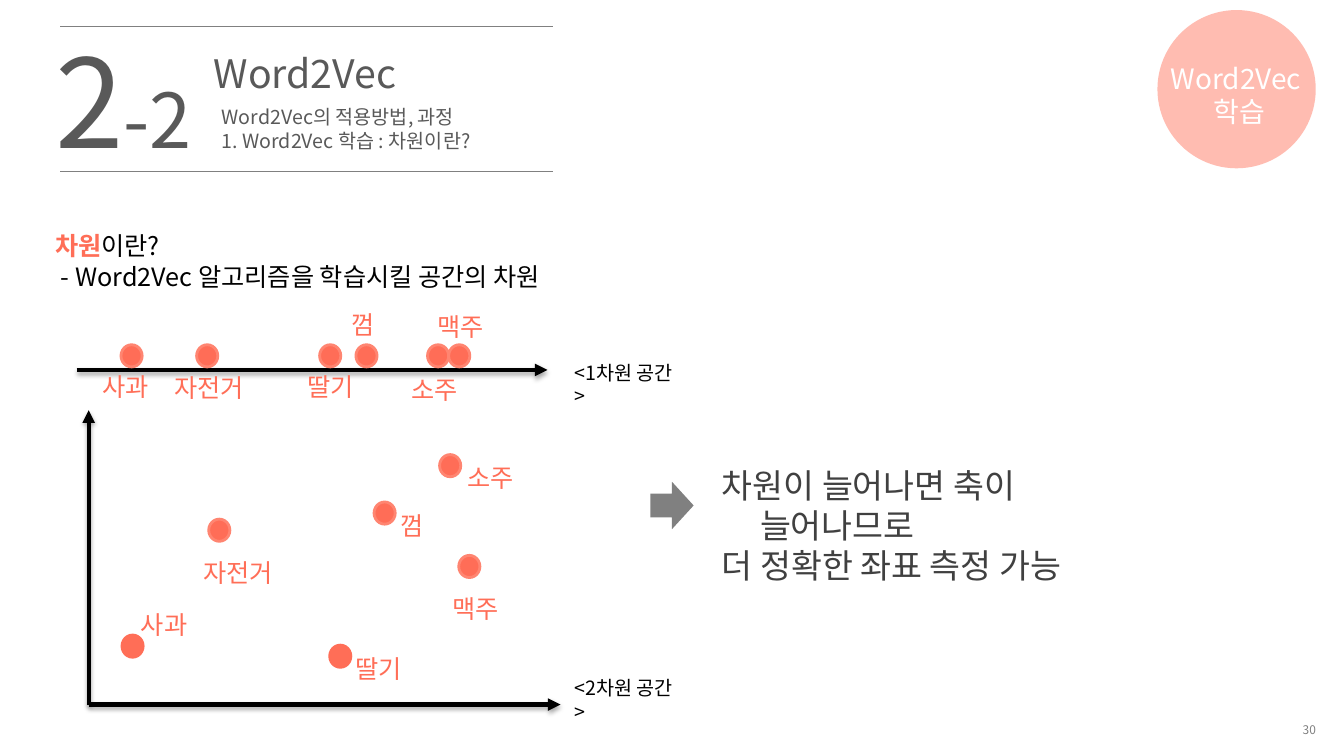
from lxml.etree import SubElement
from pptx import Presentation
from pptx.dml.color import RGBColor
from pptx.enum.shapes import MSO_CONNECTOR, MSO_SHAPE
from pptx.enum.text import MSO_ANCHOR, MSO_AUTO_SIZE, PP_ALIGN
from pptx.oxml.ns import qn
from pptx.util import Inches, Pt

CELL = Inches(0.1)
FONT = "Noto Sans CJK KR"
CORAL = RGBColor(0xFF, 0x6E, 0x57)
DOT_FILL = RGBColor(0xFF, 0x6D, 0x57)
DOT_EDGE = RGBColor(0xFF, 0x85, 0x71)
BLACK = RGBColor(0, 0, 0)
WHITE = RGBColor(0xFF, 0xFF, 0xFF)
CHARCOAL = RGBColor(0x40, 0x40, 0x40)
SLATE = RGBColor(0x59, 0x59, 0x59)
GRAY = RGBColor(0x80, 0x80, 0x80)
HANGING = {"marL": Inches(0.38), "indent": Inches(-0.38)}

LINE_DOTS = [(12, 34.2), (19.5, 34.2), (31.7, 34.2), (35.3, 34.2), (42.4, 34.2), (44.5, 34.2)]
LINE_LABELS = [
    ("사과", 9.2, 36.3), ("자전거", 16.3, 36.4), ("딸기", 29.5, 36.3),
    ("껌", 33.9, 30.2), ("소주", 39.8, 36.6), ("맥주", 42.4, 30.4),
]
PLANE_DOTS = [(45.5, 55.1), (43.6, 45.1), (20.7, 51.5), (37.1, 49.8)]
PLANE_CORAL_DOTS = [(12.1, 63), (32.7, 64)]
PLANE_LABELS = [
    ("사과", 13, 60), ("맥주", 43.9, 58.4), ("딸기", 34.3, 64.3),
    ("소주", 45.4, 45.4), ("자전거", 19.2, 54.8), ("껌", 38.7, 50.1),
]


def grid(*cells):
    return [round(cell * CELL) for cell in cells]


def apply(target, values):
    for name, value in values.items():
        setattr(target, name, value)


def place(shape, *cells):
    apply(shape, dict(zip(("left", "top", "width", "height"), grid(*cells))))


def add_span(para, text, size, color, bold=False):
    span = para.add_run()
    span.text = text
    span.font.color.rgb = color
    apply(span.font, {"name": FONT, "size": Pt(size), "bold": bold})
    SubElement(span.font._element, qn("a:ea"), typeface=FONT)


def write(box, paragraphs, align=PP_ALIGN.LEFT, anchor=MSO_ANCHOR.TOP, spacing=None, hanging=False):
    frame = box.text_frame
    apply(frame, {
        "word_wrap": True,
        "auto_size": MSO_AUTO_SIZE.SHAPE_TO_FIT_TEXT,
        "vertical_anchor": anchor,
    })
    for index, spans in enumerate(paragraphs):
        para = frame.add_paragraph() if index else frame.paragraphs[0]
        apply(para, {"alignment": align, "line_spacing": spacing})
        if hanging:
            for name, value in HANGING.items():
                para._p.get_or_add_pPr().set(name, str(value))
        for span in spans:
            add_span(para, *span)


def add_text(page, cells, paragraphs, **layout):
    write(page.shapes.add_textbox(*grid(*cells)), paragraphs, **layout)


def add_title(page):
    title = page.shapes.title
    place(title, 20.2, 4.4, 44.9, 5.7)
    write(title, [[("Word2Vec", 28, SLATE)]], hanging=True)


def add_shape(page, kind, cells, fill, edge=None, opacity=None):
    shape = page.shapes.add_shape(kind, *grid(*cells))
    shape.shadow.inherit = False
    shape.fill.solid()
    shape.fill.fore_color.rgb = fill
    if edge is None:
        shape.line.fill.background()
    else:
        shape.line.color.rgb = edge
        shape.line.width = Pt(2)
    if opacity:
        color = shape._element.spPr.find(".//" + qn("a:srgbClr"))
        SubElement(color, qn("a:alpha"), val=str(opacity * 1000))


def add_line(page, cells, color, width):
    line = page.shapes.add_connector(MSO_CONNECTOR.STRAIGHT, *grid(*cells))
    line.line.color.rgb = color
    line.line.width = Pt(width)
    effects = SubElement(line._element.spPr, qn("a:effectLst"))
    return line, effects


def add_axis(page, cells):
    axis, effects = add_line(page, cells, BLACK, 3)
    SubElement(axis.line._ln, qn("a:tailEnd"), type="triangle")
    shadow = SubElement(effects, qn("a:outerShdw"), blurRad=str(Pt(3.1)), dist=str(Pt(1.8)),
                        dir="5400000", rotWithShape="0")
    color = SubElement(shadow, qn("a:srgbClr"), val=str(BLACK))
    SubElement(color, qn("a:alpha"), val="35000")


def add_dots(page, dots, fill=DOT_FILL, edge=DOT_EDGE):
    for column, row in dots:
        add_shape(page, MSO_SHAPE.OVAL, (column, row, 2.1, 2.2), fill, edge)


def add_labels(page, labels):
    for word, column, row in labels:
        add_text(page, (column, row, 10.5, 4), [[(word, 18, CORAL)]])


def add_header(page):
    add_title(page)
    for row in (2.6, 17):
        add_line(page, (6, row, 54.8, row), GRAY, 0.75)
    add_text(page, (4.5, 2, 24.4, 15.8), [[("2", 88, SLATE), ("-2", 54, SLATE)]], hanging=True)
    add_text(page, (21, 9.9, 45.7, 5.8), [
        [("Word2Vec의 적용방법, 과정", 14, SLATE)],
        [("1. Word2Vec 학습 : 차원이란?", 14, SLATE)],
    ], spacing=Pt(17))
    add_shape(page, MSO_SHAPE.OVAL, (114.8, 1, 15.7, 15.7), CORAL, opacity=46)
    add_text(page, (108.3, 5.6, 29.2, 7.7), [
        [("Word2Vec ", 20, WHITE)],
        [("학습", 20, WHITE)],
    ], align=PP_ALIGN.CENTER, hanging=True)


def add_spaces(page):
    add_text(page, (4.5, 22.4, 58.3, 7.1), [
        [("차원", 18, CORAL, True), ("이란?", 18, BLACK)],
        [(" - Word2Vec 알고리즘을 학습시킬 공간의 차원", 18, BLACK)],
    ])
    for axis in ((8.8, 69.9, 8.8, 40.7), (8.8, 69.9, 55.6, 69.9), (7.6, 36.7, 54.3, 36.7)):
        add_axis(page, axis)
    add_labels(page, LINE_LABELS + PLANE_LABELS)
    add_dots(page, LINE_DOTS + PLANE_DOTS)
    add_dots(page, PLANE_CORAL_DOTS, CORAL, CORAL)
    for count, row in ((1, 35.3), (2, 66.6)):
        add_text(page, (56, row, 12.4, 3.4), [[(f"<{count}차원 공간>", 14, BLACK)]])


def add_conclusion(page):
    add_shape(page, MSO_SHAPE.RIGHT_ARROW, (64.5, 47.8, 4.3, 4.7), GRAY)
    add_text(page, (70.6, 45.6, 47.1, 9.1), [
        [("차원이 늘어나면 축이 늘어나므로 ", 24, CHARCOAL)],
        [("더 정확한 좌표 측정 가능", 24, CHARCOAL)],
    ], hanging=True)


def main():
    deck = Presentation()
    apply(deck, {"slide_width": Inches(13.33), "slide_height": Inches(7.5)})
    page = deck.slides.add_slide(deck.slide_layouts.get_by_name("Title Only"))
    add_header(page)
    add_spaces(page)
    add_conclusion(page)
    add_text(page, (103.4, 71, 28.1, 2.7), [[("30", 8.5, GRAY)]],
             align=PP_ALIGN.RIGHT, anchor=MSO_ANCHOR.MIDDLE)
    deck.save("out.pptx")


main()
